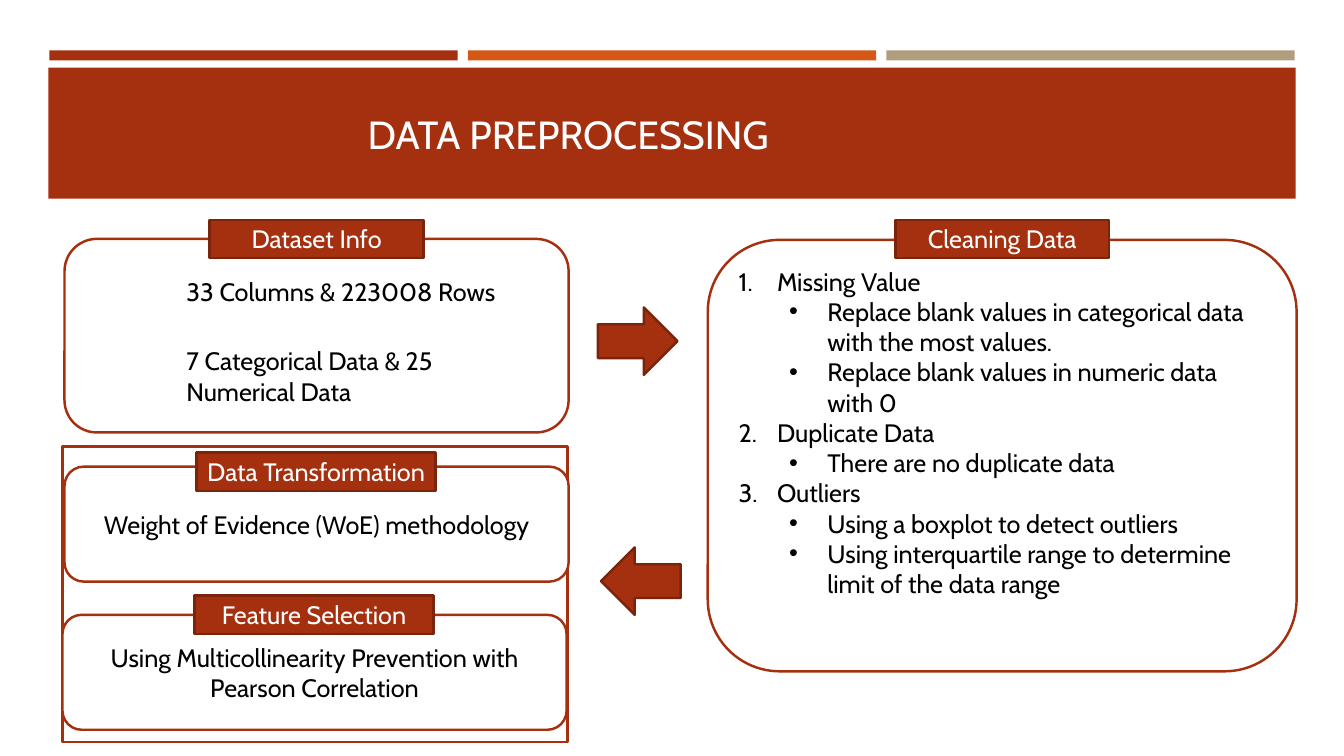
from dataclasses import dataclass

from pptx import Presentation
from pptx.dml.color import RGBColor
from pptx.enum.shapes import MSO_SHAPE
from pptx.enum.text import MSO_ANCHOR, MSO_AUTO_SIZE, PP_ALIGN
from pptx.oxml.xmlchemy import OxmlElement
from pptx.util import Pt

PX = 9144


@dataclass(frozen=True)
class Theme:
    """Colours, type sizes and line width of the slide."""
    red: str = "A5300F"
    orange: str = "D55816"
    tan: str = "B19C7D"
    dark: str = "7A240B"
    white: str = "FFFFFF"
    black: str = "000000"
    font: str = "Cabin"
    head: int = 28
    body: int = 18
    edge: float = 1.75


THEME = Theme()
STEPS = [
    (0, "Missing Value"),
    (1, "Replace blank values in categorical data with the most values."),
    (1, "Replace blank values in numeric data with 0"),
    (0, "Duplicate Data"),
    (1, "There are no duplicate data"),
    (0, "Outliers"),
    (1, "Using a boxplot to detect outliers"),
    (1, "Using interquartile range to determine limit of the data range"),
]


def emu(box):
    """Turn a box in px into EMU."""
    return [n * PX for n in box]


def draw(slide, kind, box, fill, line=None):
    """Add a flat preset shape, outlined if a line colour is given."""
    shape = slide.shapes.add_shape(kind, *emu(box))
    shape.shadow.inherit = False
    shape.fill.solid()
    shape.fill.fore_color.rgb = RGBColor.from_string(fill)
    if line:
        shape.line.color.rgb = RGBColor.from_string(line)
        shape.line.width = Pt(THEME.edge)
    else:
        shape.line.fill.background()
    return shape


def write(para, text, color, align, size=THEME.body):
    """Put one formatted run into a paragraph."""
    para.alignment = align
    run = para.add_run()
    run.text = text
    look = {"name": THEME.font, "size": Pt(size), "bold": False}
    for key, value in look.items():
        setattr(run.font, key, value)
    run.font.color.rgb = RGBColor.from_string(color)


def mark(para, level):
    """Number a top-level paragraph or bullet a nested one."""
    para.level = level
    props = para._p.get_or_add_pPr()
    props.set("marL", str((38 + 50 * level) * PX))
    props.set("indent", str(-38 * PX))
    parts = [("a:buFont", "typeface", "Arial"), ("a:buChar", "char", "•")]
    if level == 0:
        parts = [("a:buFont", "typeface", "+mj-lt"),
                 ("a:buAutoNum", "type", "arabicPeriod")]
    for tag, key, value in parts:
        item = OxmlElement(tag)
        item.set(key, value)
        props.append(item)


def banner(slide, box):
    """Place the three stripes, the red band and the title."""
    left, top, width, height = box
    for i, color in enumerate([THEME.red, THEME.orange, THEME.tan]):
        stripe = (left + 1 + 415 * i, top, 405, 10)
        draw(slide, MSO_SHAPE.RECTANGLE, stripe, color)
    band = (left, top + 17, width, height - 17)
    draw(slide, MSO_SHAPE.RECTANGLE, band, THEME.red)
    title = slide.shapes.title
    slide.shapes._spTree.append(title._element)
    place = emu((left + 3, top + 27, 1025, 111))
    for key, value in zip(("left", "top", "width", "height"), place):
        setattr(title, key, value)
    frame = title.text_frame
    frame.auto_size = MSO_AUTO_SIZE.NONE
    frame.vertical_anchor = MSO_ANCHOR.MIDDLE
    write(frame.paragraphs[0], "DATA PREPROCESSING", THEME.white,
          PP_ALIGN.CENTER, THEME.head)


def panel(slide, box, name, wide, lift=19, text=""):
    """Place a rounded panel with a name tag centred on its top edge."""
    left, top, width, height = box
    shape = draw(slide, MSO_SHAPE.ROUNDED_RECTANGLE, box, THEME.white, THEME.red)
    if text:
        write(shape.text_frame.paragraphs[0], text, THEME.black, PP_ALIGN.CENTER)
    spot = (left + (width - wide) // 2, top - lift, wide, 38)
    tag = draw(slide, MSO_SHAPE.RECTANGLE, spot, THEME.red, THEME.dark)
    write(tag.text_frame.paragraphs[0], name, THEME.white, PP_ALIGN.CENTER)
    return shape


def dataset(slide, box):
    """Place the panel with the size of the data set."""
    panel(slide, box, "Dataset Info", 212)
    left, top, width, height = box
    for drop, tall, text in [(32, 40, "33 Columns & 223008 Rows"),
                             (101, 71, "7 Categorical Data & 25 Numerical Data")]:
        spot = emu((left + 111, top + drop, 354, tall))
        frame = slide.shapes.add_textbox(*spot).text_frame
        frame.word_wrap = True
        write(frame.paragraphs[0], text, THEME.black, PP_ALIGN.LEFT)


def cleaning(slide, box):
    """Place the panel with the numbered cleaning steps."""
    frame = panel(slide, box, "Cleaning Data", 212, 20).text_frame
    frame.vertical_anchor = MSO_ANCHOR.TOP
    for i, (level, text) in enumerate(STEPS):
        para = frame.add_paragraph() if i else frame.paragraphs[0]
        mark(para, level)
        write(para, text, THEME.black, PP_ALIGN.LEFT)


def methods(slide, box):
    """Place the framed pair of transformation and selection panels."""
    left, top, width, height = box
    draw(slide, MSO_SHAPE.RECTANGLE, box, THEME.white, THEME.red)
    panel(slide, (left + 2, top + 20, 500, 114), "Data Transformation", 237, 14,
          "Weight of Evidence (WoE) methodology")
    panel(slide, (left, top + 167, 500, 114), "Feature Selection", 237, 19,
          "Using Multicollinearity Prevention with Pearson Correlation")


def arrow(slide, box, turn):
    """Place a block arrow turned by the given degrees."""
    shape = draw(slide, MSO_SHAPE.RIGHT_ARROW, box, THEME.red, THEME.dark)
    shape.rotation = turn


def main():
    """Build the slide and save it."""
    deck = Presentation()
    deck.slide_width, deck.slide_height = emu((1333, 750))
    slide = deck.slides.add_slide(deck.slide_layouts[5])
    banner(slide, (48, 50, 1237, 147))
    methods(slide, (62, 443, 501, 293))
    dataset(slide, (64, 237, 500, 192))
    cleaning(slide, (702, 238, 584, 428))
    arrow(slide, (593, 305, 79, 67), 0)
    arrow(slide, (596, 543, 79, 67), 180)
    deck.save("out.pptx")


if __name__ == "__main__":
    main()
